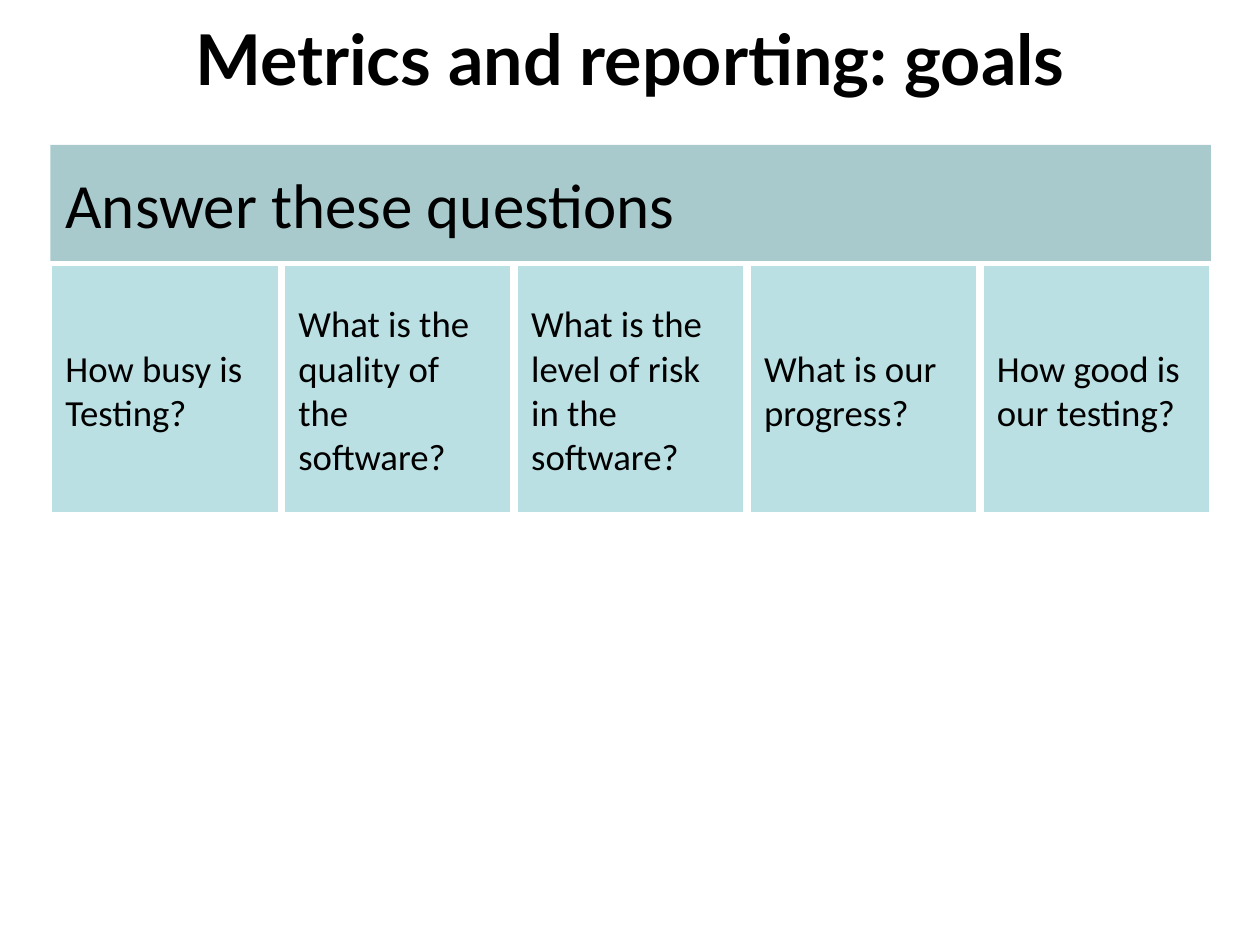
"""Build the slide on metrics and reporting goals."""
from pptx import Presentation
from pptx.dml.color import RGBColor as Rgb
from pptx.enum.shapes import MSO_SHAPE as Kind
from pptx.enum.text import MSO_ANCHOR as Anchor, PP_ALIGN as Align
from pptx.util import Inches, Pt

TITLE = "Metrics and reporting: goals"
HEAD = "Answer these questions"
ASKS = [
    "How busy is Testing?",
    "What is the quality of the software?",
    "What is the level of risk in the software?",
    "What is our progress?",
    "How good is our testing?",
]
HUES = {"text": "000000", "head": "A8CACD", "card": "BBE0E3", "line": "FFFFFF"}
LEFT, WIDTH, GAP = 0.4, 9.21, 0.03


def write(shape, text, size, font="Calibri", align=Align.LEFT, pad=0.12, lead=0.2):
    frame = shape.text_frame
    frame.word_wrap = True
    frame.vertical_anchor = Anchor.MIDDLE
    frame.margin_left = frame.margin_right = Inches(pad)
    frame.margin_top = frame.margin_bottom = Inches(pad)
    para = frame.paragraphs[0]
    para.text = text
    para.alignment = align
    para.space_before = Pt(size * lead)
    para.font.size = Pt(size)
    para.font.name = font
    para.font.color.rgb = Rgb.from_string(HUES["text"])
    return para


def block(slide, box, fill):
    shape = slide.shapes.add_shape(Kind.RECTANGLE, *map(Inches, box))
    shape.shadow.inherit = False
    shape.fill.solid()
    shape.fill.fore_color.rgb = Rgb.from_string(HUES[fill])
    shape.line.fill.background()
    return shape


def main():
    deck = Presentation()
    deck.slide_width, deck.slide_height = Inches(10), Inches(7.5)
    slide = deck.slides.add_slide(deck.slide_layouts[6])

    title = slide.shapes.add_textbox(*map(Inches, (LEFT, 0, 9.2, 0.92)))
    write(title, TITLE, 40, "Lato", Align.CENTER, 0.05, 0).font.bold = True

    write(block(slide, (LEFT, 1.15, WIDTH, 0.92), "head"), HEAD, 36)

    wide = (WIDTH - GAP * (len(ASKS) - 1)) / len(ASKS)
    for i, ask in enumerate(ASKS):
        card = block(slide, (LEFT + i * (wide + GAP), 2.1, wide, 1.98), "card")
        card.line.color.rgb = Rgb.from_string(HUES["line"])
        card.line.width = Pt(2)
        write(card, ask, 21)

    deck.save("out.pptx")


if __name__ == "__main__":
    main()
